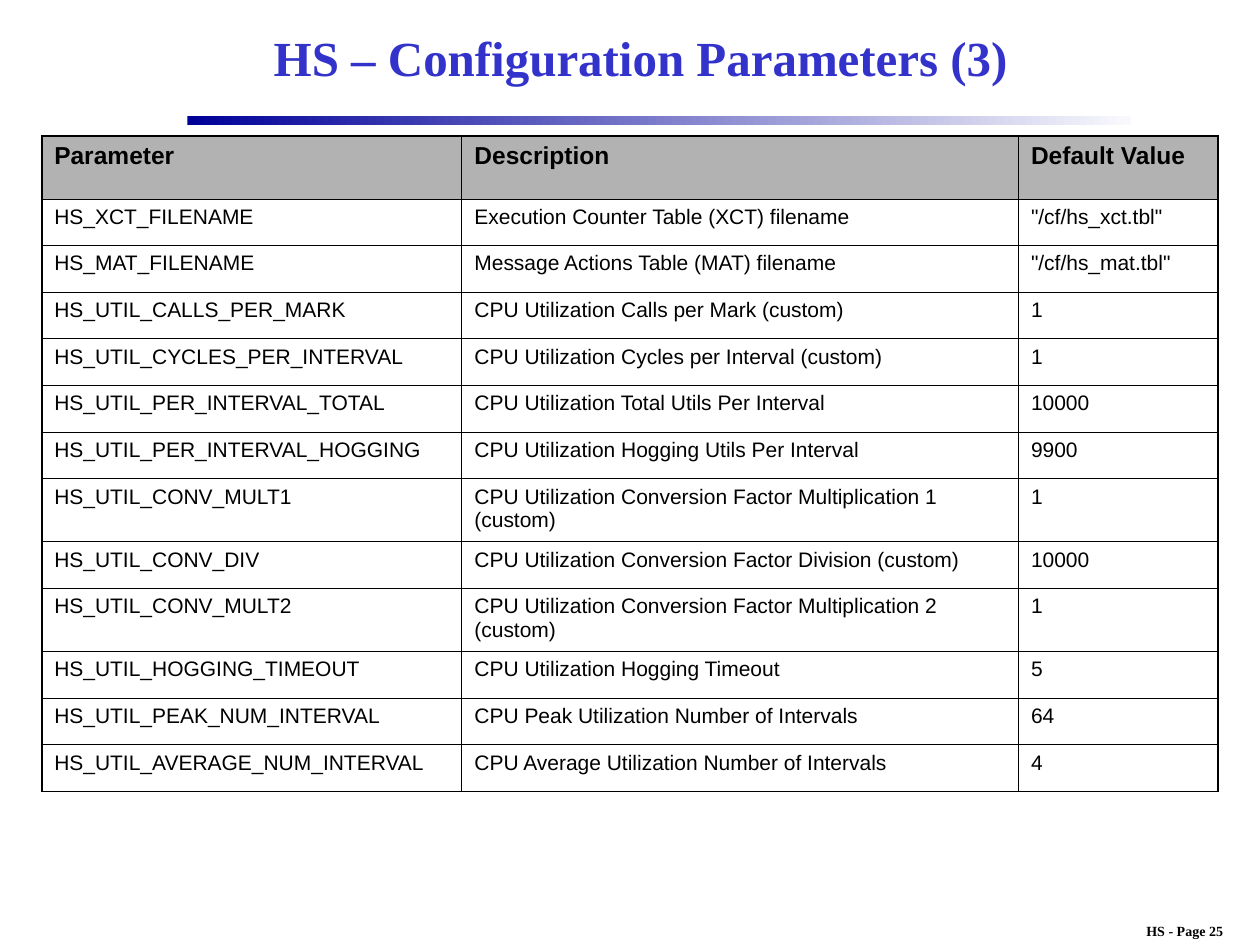
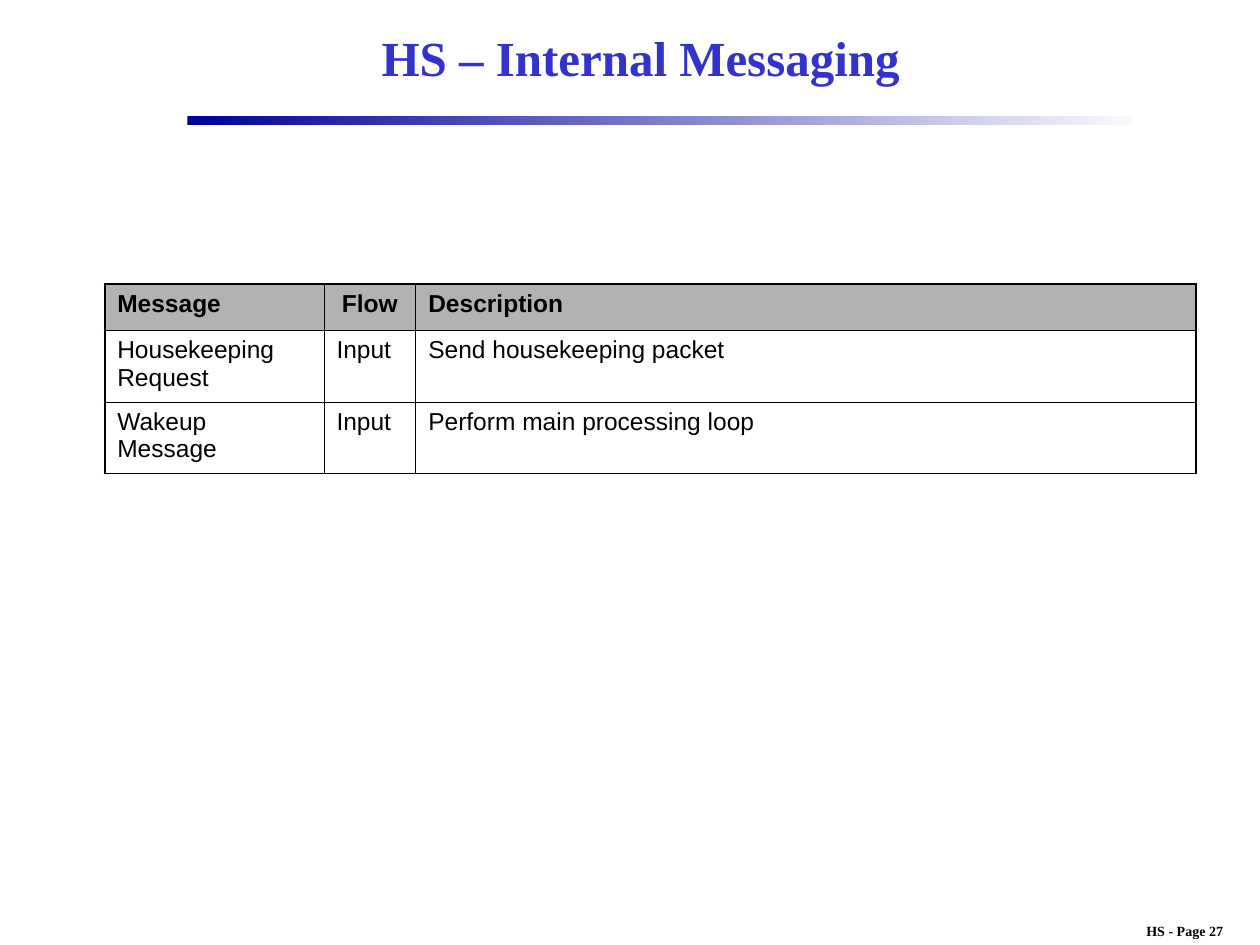
import pptx
import pptx.dml.color
import pptx.enum.shapes
import pptx.enum.text
import pptx.oxml.ns
import pptx.util
from lxml import etree

Cm, Pt = pptx.util.Cm, pptx.util.Pt
ALIGN = pptx.enum.text.PP_ALIGN

TITLE_BLUE = "3333CC"
BAND_START, BAND_END = "000099", "F9F9FD"
HEADER_GRAY = "B2B2B2"
BLACK = "000000"
TITLE_FONT, TABLE_FONT = "Times New Roman", "Arial"
OUTER, INNER = 1.08, 0.45
LINE_ROW, TALL_ROW, WRAPPED_ROW = 0.94, 1.27, 1.44

PARAMETERS = [
    ("Parameter", "Description", "Default Value"),
    ("HS_XCT_FILENAME", "Execution Counter Table (XCT) filename", '"/cf/hs_xct.tbl"'),
    ("HS_MAT_FILENAME", "Message Actions Table (MAT) filename", '"/cf/hs_mat.tbl"'),
    ("HS_UTIL_CALLS_PER_MARK", "CPU Utilization Calls per Mark (custom)", "1"),
    ("HS_UTIL_CYCLES_PER_INTERVAL", "CPU Utilization Cycles per Interval (custom)", "1"),
    ("HS_UTIL_PER_INTERVAL_TOTAL", "CPU Utilization Total Utils Per Interval", "10000"),
    ("HS_UTIL_PER_INTERVAL_HOGGING", "CPU Utilization Hogging Utils Per Interval", "9900"),
    ("HS_UTIL_CONV_MULT1", "CPU Utilization Conversion Factor Multiplication 1 (custom)", "1"),
    ("HS_UTIL_CONV_DIV", "CPU Utilization Conversion Factor Division (custom)", "10000"),
    ("HS_UTIL_CONV_MULT2", "CPU Utilization Conversion Factor Multiplication 2 (custom)", "1"),
    ("HS_UTIL_HOGGING_TIMEOUT", "CPU Utilization Hogging Timeout", "5"),
    ("HS_UTIL_PEAK_NUM_INTERVAL", "CPU Peak Utilization Number of Intervals", "64"),
    ("HS_UTIL_AVERAGE_NUM_INTERVAL", "CPU Average Utilization Number of Intervals", "4"),
]
MESSAGES = [
    ("Message", "Flow", "Description"),
    ("Housekeeping Request", "Input", "Send housekeeping packet"),
    ("Wakeup Message", "Input", "Perform main processing loop"),
]


def color(hex_string):
    """Turn a hex string into an RGB colour."""
    return pptx.dml.color.RGBColor.from_string(hex_string)


def style(paragraph, font_name, size, hex_string, bold):
    """Set the font of a whole paragraph."""
    font = paragraph.font
    font.name, font.size, font.bold = font_name, Pt(size), bold
    font.color.rgb = color(hex_string)


def add_label(slide, text, place, size, hex_string, wrap=True):
    """Add a centred bold line of text."""
    frame = slide.shapes.add_textbox(*map(Cm, place)).text_frame
    frame.word_wrap = wrap
    frame.vertical_anchor = pptx.enum.text.MSO_ANCHOR.MIDDLE
    line = frame.paragraphs[0]
    line.text, line.alignment = text, ALIGN.CENTER
    style(line, TITLE_FONT, size, hex_string, True)


def add_band(slide):
    """Add the fading band below the title."""
    band = slide.shapes.add_shape(
        pptx.enum.shapes.MSO_SHAPE.RECTANGLE, Cm(3.78), Cm(2.34), Cm(19.03), Cm(0.18))
    band.shadow.inherit = False
    band.line.fill.background()
    band.fill.gradient()
    band.fill.gradient_angle = 0
    for stop, position, shade in zip(band.fill.gradient_stops, (0, 1), (BAND_START, BAND_END)):
        stop.position, stop.color.rgb = position, color(shade)


def add_page(deck, title, number):
    """Add a slide with its title, band and page number."""
    slide = deck.slides.add_slide(deck.slide_layouts[6])
    add_label(slide, f"HS - Page {number}", (22.35, 18.47, 3.07, 0.58), 8, BLACK, wrap=False)
    add_band(slide)
    add_label(slide, title, (3.81, 0.2, 18.21, 1.91), 28, TITLE_BLUE)
    return slide


def set_borders(cell, widths):
    """Draw the left, right, top and bottom borders of a cell."""
    properties = cell._tc.get_or_add_tcPr()
    qn = pptx.oxml.ns.qn
    for side, width in zip("LRTB", widths):
        border = etree.SubElement(properties, qn(f"a:ln{side}"), w=str(Pt(width)))
        fill = etree.SubElement(border, qn("a:solidFill"))
        etree.SubElement(fill, qn("a:srgbClr"), val=BLACK)


def add_grid(slide, rows, corner, widths, heights, body_size, bottom, centered=()):
    """Add a bordered table with a gray header row."""
    size = (sum(widths), sum(heights))
    grid = slide.shapes.add_table(len(rows), len(widths), *map(Cm, corner + size)).table
    grid.horz_banding = False
    for column, width in zip(grid.columns, widths):
        column.width = Cm(width)
    last_row, last_column = len(rows) - 1, len(widths) - 1
    for r, (texts, height) in enumerate(zip(rows, heights)):
        grid.rows[r].height = Cm(height)
        header = r == 0
        for c, text in enumerate(texts):
            cell = grid.cell(r, c)
            set_borders(cell, (
                OUTER if c == 0 else INNER,
                OUTER if c == last_column else INNER,
                OUTER if header else INNER,
                bottom if r == last_row else INNER))
            if header:
                cell.fill.solid()
                cell.fill.fore_color.rgb = color(HEADER_GRAY)
            else:
                cell.fill.background()
            line = cell.text_frame.paragraphs[0]
            line.text = text
            if text in centered:
                line.alignment = ALIGN.CENTER
            style(line, TABLE_FONT, 14 if header else body_size, BLACK, header)


def main():
    """Build both slides and save them."""
    deck = pptx.Presentation()
    deck.slide_width, deck.slide_height = Cm(25.4), Cm(19.05)

    parameters = add_page(deck, "HS – Configuration Parameters (3)", 25)
    heights = [TALL_ROW if name == "Parameter" or "_MULT" in name else LINE_ROW
               for name, _, _ in PARAMETERS]
    add_grid(parameters, PARAMETERS, (0.84, 2.74), (8.47, 11.22, 4.02), heights, 12, INNER)

    messaging = add_page(deck, "HS – Internal Messaging", 27)
    add_grid(messaging, MESSAGES, (2.11, 5.72), (4.42, 1.85, 15.73),
             (LINE_ROW, WRAPPED_ROW, WRAPPED_ROW), 14, OUTER, centered=("Flow",))

    deck.save("out.pptx")


if __name__ == "__main__":
    main()
